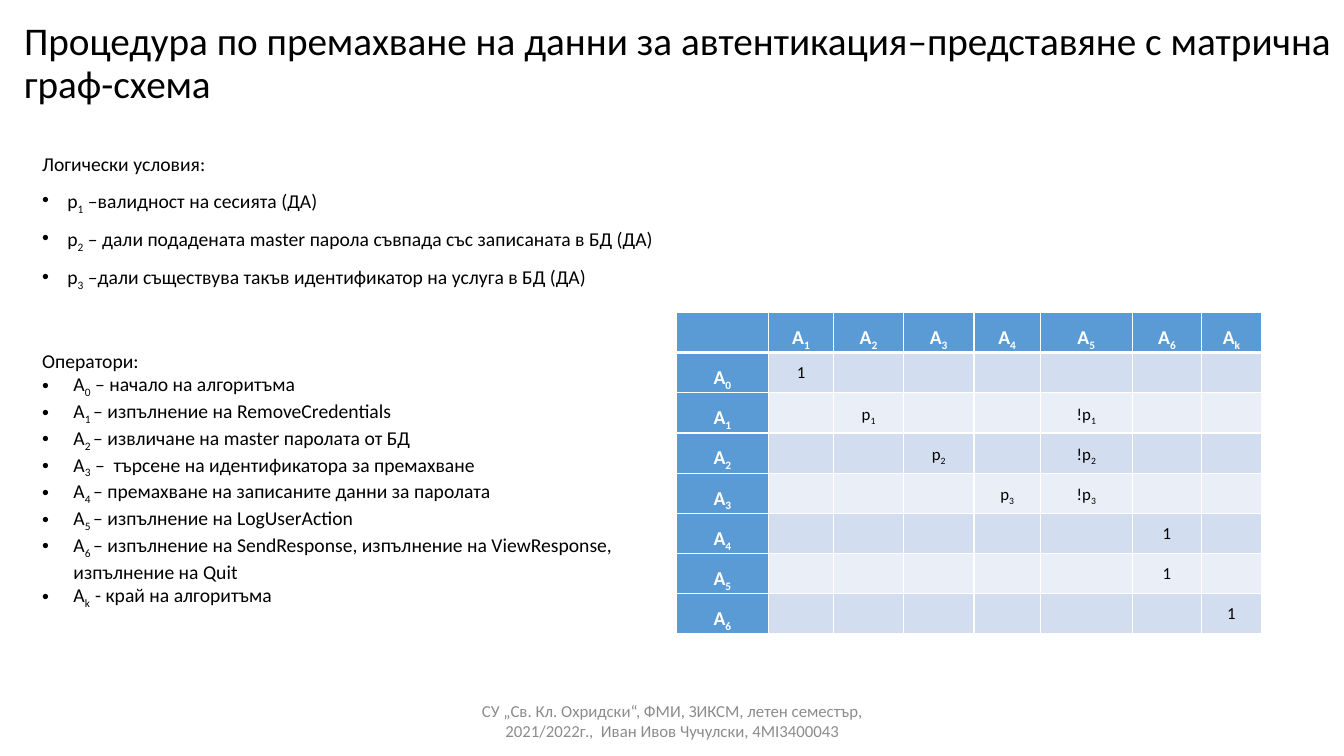
"""Build the slide on removing authentication data, shown as a matrix graph scheme."""
from lxml import etree
from pptx import Presentation
from pptx import util as u
from pptx.dml.color import RGBColor
from pptx.enum import text
from pptx.oxml.ns import qn

THEME = {
    "font": "Calibri",
    "title": 28, "body": 14, "cell": 12, "footer": 12,
    "black": "000000", "white": "FFFFFF", "grey": "8C8C8C",
    "header": "5B9BD5", "bands": ("D2DEEF", "EAEFF7"),
}
TITLE = "Процедура по премахване на данни за автентикация–представяне с матрична граф-схема"
FOOTER = ("СУ „Св. Кл. Охридски“, ФМИ, ЗИКСМ, летен семестър, 2021/2022г.,  "
          "Иван Ивов Чучулски, 4MI3400043")
CONDITIONS = [
    ("Логически условия:",),
    ("p", "1", " –валидност на сесията (ДА)"),
    ("p", "2", " – дали подадената master парола съвпада със записаната в БД (ДА)"),
    ("p", "3", " –дали съществува такъв идентификатор на услуга в БД (ДА)"),
]
OPERATORS = [
    ("Оператори:",),
    ("A", "0", " – начало на алгоритъма"),
    ("A", "1 ", "– изпълнение на RemoveCredentials"),
    ("A", "2 ", "– извличане на master паролата от БД"),
    ("A", "3", " –  търсене на идентификатора за премахване"),
    ("A", "4 ", "– премахване на записаните данни за паролата"),
    ("A", "5 ", "– изпълнение на LogUserAction"),
    ("A", "6 ", "– изпълнение на SendResponse, изпълнение на ViewResponse, изпълнение на Quit"),
    ("A", "k  ", "- край на алгоритъма"),
]
COLUMN_NAMES = "123456k"
ROW_NAMES = "0123456"
TRANSITIONS = {
    ("0", "1"): ("1",),
    ("1", "2"): ("p", "1"), ("1", "5"): ("!p", "1"),
    ("2", "3"): ("p", "2"), ("2", "5"): ("!p", "2"),
    ("3", "4"): ("p", "3"), ("3", "5"): ("!p", "3"),
    ("4", "6"): ("1",), ("5", "6"): ("1",), ("6", "k"): ("1",),
}
COLUMN_WIDTHS = (0.91, 0.65, 0.69, 0.7, 0.66, 0.91, 0.69, 0.59)
ROW_HEIGHT = 0.39


def color(name):
    return RGBColor.from_string(THEME[name])


def write_parts(paragraph, parts, size, color_name, bold=False):
    for index, part in enumerate(parts):
        run = paragraph.add_run()
        run.text = part
        run.font.name = THEME["font"]
        run.font.size = u.Pt(THEME[size])
        run.font.bold = bold
        run.font.color.rgb = color(color_name)
        if index == 1:
            run.font._element.set("baseline", "-25000")


def add_bullet(paragraph, indent):
    properties = paragraph._p.get_or_add_pPr()
    properties.set("marL", str(u.Inches(indent)))
    properties.set("indent", str(-u.Inches(indent)))
    etree.SubElement(properties, qn("a:buFont")).set("typeface", "Arial")
    etree.SubElement(properties, qn("a:buChar")).set("char", "•")


def add_text(slide, box, lines, size="body", color_name="black", indent=0.25,
             line_spacing=None, space_before=None, align=None,
             anchor=text.MSO_ANCHOR.TOP):
    shape = slide.shapes.add_textbox(*map(u.Inches, box))
    frame = shape.text_frame
    frame.word_wrap = True
    frame.vertical_anchor = anchor
    for index, parts in enumerate(lines):
        paragraph = frame.add_paragraph() if index else frame.paragraphs[0]
        paragraph.alignment = align
        if line_spacing:
            paragraph.line_spacing = line_spacing
        if space_before:
            paragraph.space_before = u.Pt(space_before)
        if len(parts) > 1:
            add_bullet(paragraph, indent)
        write_parts(paragraph, parts, size, color_name)


def set_borders(cell, row):
    properties = cell._tc.get_or_add_tcPr()
    widths = {"lnL": 1, "lnR": 1, "lnT": 3 if row == 1 else 1, "lnB": 3 if row == 0 else 1}
    for position, (side, width) in enumerate(widths.items()):
        line = etree.Element(qn("a:" + side), w=str(u.Pt(width)))
        fill = etree.SubElement(line, qn("a:solidFill"))
        etree.SubElement(fill, qn("a:srgbClr")).set("val", THEME["white"])
        properties.insert(position, line)


def cell_parts(row, column):
    if row == column == 0:
        return ()
    if row == 0:
        return ("A", COLUMN_NAMES[column - 1])
    if column == 0:
        return ("A", ROW_NAMES[row - 1])
    return TRANSITIONS.get((ROW_NAMES[row - 1], COLUMN_NAMES[column - 1]), ())


def add_matrix(slide, left, top):
    rows, columns = len(ROW_NAMES) + 1, len(COLUMN_WIDTHS)
    table = slide.shapes.add_table(
        rows, columns, u.Inches(left), u.Inches(top),
        u.Inches(sum(COLUMN_WIDTHS)), u.Inches(ROW_HEIGHT * rows)).table
    table.first_col = True
    for column, width in enumerate(COLUMN_WIDTHS):
        table.columns[column].width = u.Inches(width)
    for row in range(rows):
        table.rows[row].height = u.Inches(ROW_HEIGHT)
        for column in range(columns):
            cell = table.cell(row, column)
            is_header = row == 0 or column == 0
            cell.margin_left = cell.margin_right = u.Inches(0.07)
            cell.margin_top = cell.margin_bottom = 0
            cell.fill.solid()
            band = THEME["header"] if is_header else THEME["bands"][(row - 1) % 2]
            cell.fill.fore_color.rgb = RGBColor.from_string(band)
            set_borders(cell, row)
            parts = cell_parts(row, column)
            if parts:
                paragraph = cell.text_frame.paragraphs[0]
                paragraph.alignment = text.PP_ALIGN.CENTER
                paragraph.line_spacing = 1.5
                write_parts(paragraph, parts, "body" if is_header else "cell",
                            "white" if is_header else "black", is_header)


def main():
    presentation = Presentation()
    presentation.slide_width = u.Inches(13.33)
    presentation.slide_height = u.Inches(7.5)
    slide = presentation.slides.add_slide(presentation.slide_layouts[6])
    add_text(slide, (0.32, 1.48, 6.4, 1.93), CONDITIONS, line_spacing=0.9, space_before=10)
    add_text(slide, (0.32, 3.41, 6.01, 2.69), OPERATORS, indent=0.31)
    add_text(slide, (0.14, 0.17, 13.19, 1.45), [(TITLE,)], size="title", line_spacing=0.9)
    add_matrix(slide, 6.71, 3.1)
    add_text(slide, (4.42, 6.95, 4.5, 0.4), [(FOOTER,)], size="footer", color_name="grey",
             align=text.PP_ALIGN.CENTER, anchor=text.MSO_ANCHOR.MIDDLE)
    presentation.save("out.pptx")


if __name__ == "__main__":
    main()
